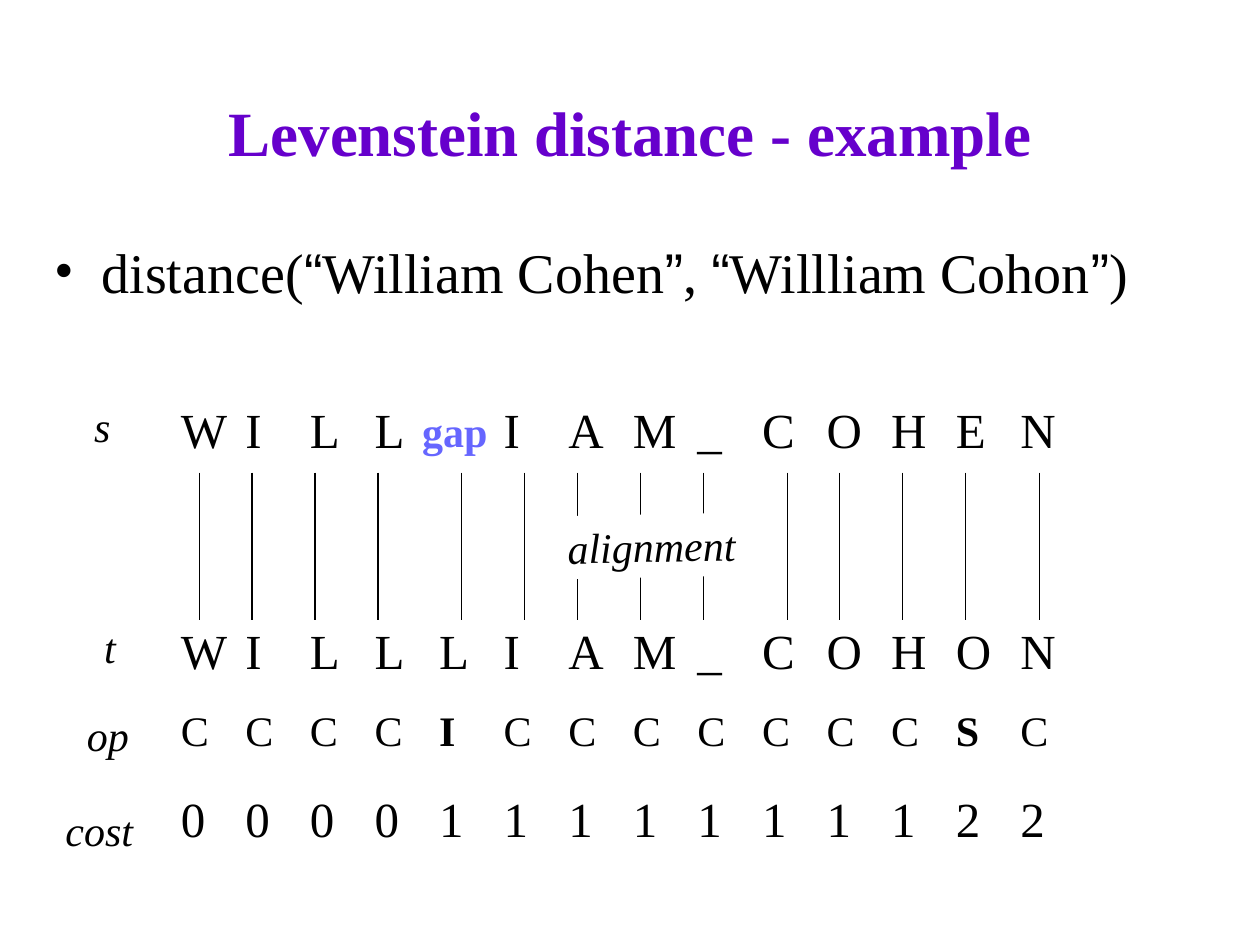
from itertools import groupby

from lxml.etree import SubElement
from pptx import Presentation
from pptx.dml.color import RGBColor
from pptx.enum.shapes import MSO_CONNECTOR, MSO_SHAPE
from pptx.enum.text import MSO_ANCHOR, MSO_AUTO_SIZE, PP_ALIGN
from pptx.oxml.ns import qn
from pptx.util import Cm, Pt

COLORS = {
    "text": "000000",
    "title": "6600CC",
    "gap": "6666FF",
    "background": "FFFFFF",
}
ROWS = [
    # letters, height in cm, font size
    ("WILL IAM_COHEN", 1.48, 28),
    (" " * 14, 2.96, 28),
    ("WILLLIAM_COHON", 1.69, 28),
    ("CCCCICCCCCCCSC", 1.7, 24),
    ("00001111111122", 1.91, 28),
]
EDITS = "IS"
EDIT_ROW = 3
ALIGNMENT_LINES = [4.02, 5.08, 6.35, 7.62, 9.31, 10.58, 11.64,
                   12.91, 14.18, 15.88, 16.93, 18.2, 19.47, 20.96]
ROW_LABELS = [
    # text, left, top, width in cm, alignment
    ("s", 1.65, 7.95, 0.84, PP_ALIGN.LEFT),
    ("t", 1.85, 12.4, 0.74, PP_ALIGN.LEFT),
    ("op", 1.5, 14.17, 1.35, PP_ALIGN.RIGHT),
    ("cost", 1.07, 16.09, 1.95, PP_ALIGN.LEFT),
]
LABEL_HEIGHT = 1.27


def add_text(paragraph, text, size=24, color="text", font="Times New Roman",
             bold=False, italic=False, align=PP_ALIGN.LEFT):
    paragraph.alignment = align
    run = paragraph.add_run()
    run.text = text
    run.font.name = font
    run.font.size = Pt(size)
    run.font.bold = bold
    run.font.italic = italic
    run.font.color.rgb = RGBColor.from_string(COLORS[color])


class SlideBuilder:
    """Adds styled elements to one slide; all lengths are in centimetres."""

    def __init__(self, slide):
        self.slide = slide
        self.shapes = slide.shapes

    def text_box(self, box, text="", wrap=True, anchor=MSO_ANCHOR.TOP, **text_format):
        frame = self.shapes.add_textbox(*map(Cm, box)).text_frame
        frame.word_wrap = wrap
        frame.vertical_anchor = anchor
        if not wrap:
            frame.auto_size = MSO_AUTO_SIZE.SHAPE_TO_FIT_TEXT
        paragraph = frame.paragraphs[0]
        if text:
            add_text(paragraph, text, **text_format)
        return paragraph

    def bullet(self, box, text, size):
        """Adds a bulleted line whose curly quotes are set in Arial."""
        paragraph = self.text_box(box)
        properties = paragraph._p.get_or_add_pPr()
        properties.set("marL", str(Cm(0.95)))
        properties.set("indent", str(-Cm(0.95)))
        SubElement(properties, qn("a:buFont")).set("typeface", "Times New Roman")
        SubElement(properties, qn("a:buChar")).set("char", "•")
        for is_quote, letters in groupby(text, lambda letter: letter in "“”"):
            font = "Arial" if is_quote else "Times New Roman"
            add_text(paragraph, "".join(letters), size=size, font=font)

    def letter_table(self, left, top, width, last_width):
        column_count = len(ROWS[0][0])
        height = sum(row_height for _, row_height, _ in ROWS)
        table = self.shapes.add_table(
            len(ROWS), column_count, Cm(left), Cm(top), Cm(width), Cm(height)
        ).table
        table.first_row = False
        table.horz_banding = False
        for column in table.columns:
            column.width = Cm((width - last_width) / (column_count - 1))
        table.columns[column_count - 1].width = Cm(last_width)
        for row_index, (letters, row_height, size) in enumerate(ROWS):
            table.rows[row_index].height = Cm(row_height)
            for cell, letter in zip(table.rows[row_index].cells, letters):
                cell.fill.background()
                if letter != " ":
                    bold = row_index == EDIT_ROW and letter in EDITS
                    add_text(cell.text_frame.paragraphs[0], letter, size=size, bold=bold)

    def vertical_line(self, x, top, bottom):
        line = self.shapes.add_connector(
            MSO_CONNECTOR.STRAIGHT, Cm(x), Cm(top), Cm(x), Cm(bottom))
        line.line.color.rgb = RGBColor.from_string(COLORS["text"])
        line.line.width = Pt(0.75)
        SubElement(line._element.spPr, qn("a:effectLst"))

    def filled_label(self, box, text, rotation, **text_format):
        shape = self.shapes.add_shape(MSO_SHAPE.RECTANGLE, *map(Cm, box))
        shape.shadow.inherit = False
        shape.fill.solid()
        shape.fill.fore_color.rgb = RGBColor.from_string(COLORS["background"])
        shape.line.fill.background()
        shape.rotation = rotation
        frame = shape.text_frame
        frame.word_wrap = True
        frame.vertical_anchor = MSO_ANCHOR.TOP
        add_text(frame.paragraphs[0], text, **text_format)


def main():
    presentation = Presentation()
    presentation.slide_width = Cm(25.4)
    presentation.slide_height = Cm(19.05)
    builder = SlideBuilder(presentation.slides.add_slide(presentation.slide_layouts[6]))

    builder.text_box((1.91, 1.06, 21.59, 3.18), "Levenstein distance - example",
                     anchor=MSO_ANCHOR.MIDDLE, size=36, color="title", bold=True,
                     align=PP_ALIGN.CENTER)
    builder.bullet((0.85, 4.66, 23.71, 2.33),
                   "distance(“William Cohen”, “Willliam Cohon”)", size=32)
    builder.letter_table(3.39, 8.04, 20.11, 3.18)
    for x in ALIGNMENT_LINES:
        builder.vertical_line(x, 9.53, 12.49)
    for text, left, top, width, align in ROW_LABELS:
        builder.text_box((left, top, width, LABEL_HEIGHT), text, wrap=False,
                         italic=True, align=align)
    builder.filled_label((10.8, 10.37, 4.67, LABEL_HEIGHT), "alignment",
                         rotation=358.9, italic=True, align=PP_ALIGN.CENTER)
    builder.text_box((8.26, 8.04, 1.82, LABEL_HEIGHT), "gap", wrap=False,
                     color="gap", bold=True, align=PP_ALIGN.CENTER)

    presentation.save("out.pptx")


if __name__ == "__main__":
    main()
